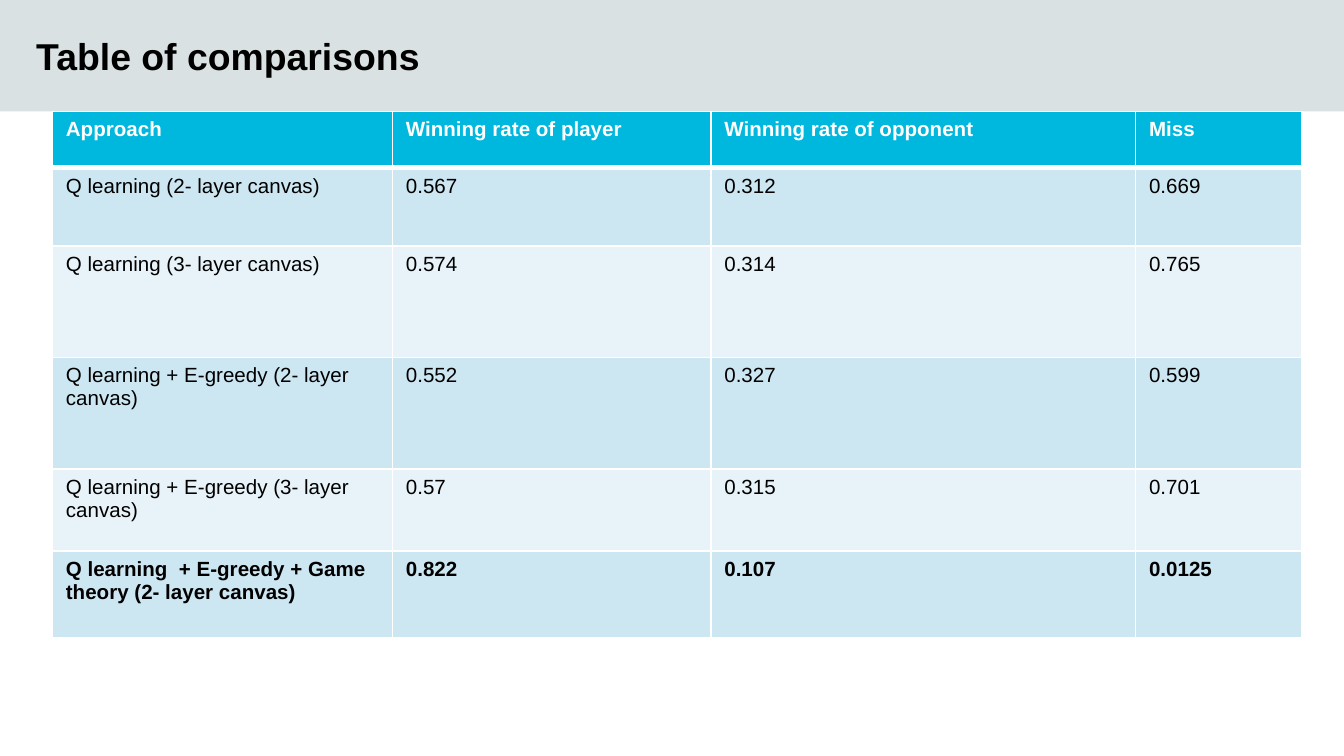
from dataclasses import dataclass

import lxml.etree
import pptx
import pptx.dml.color
import pptx.enum.shapes
import pptx.enum.text
import pptx.oxml.ns
import pptx.util

Inches = pptx.util.Inches
RGB = pptx.dml.color.RGBColor.from_string


@dataclass(frozen=True)
class Theme:
    font: str = "Arial"
    title_size: int = 20
    cell_size: int = 11
    text: str = "000000"
    white: str = "FFFFFF"
    band: str = "D9E1E2"
    header: str = "00B8DE"
    odd_row: str = "CCE6F2"
    even_row: str = "E7F3F9"


theme = Theme()


def style(p, size, color, bold):
    p.font.name = theme.font
    p.font.size = pptx.util.Pt(size)
    p.font.color.rgb = RGB(color)
    p.font.bold = bold


def set_borders(cell, top, bottom):
    """Draw white cell borders; top and bottom are widths in points."""
    tcPr = cell._tc.get_or_add_tcPr()
    widths = {"a:lnL": 1, "a:lnR": 1, "a:lnT": top, "a:lnB": bottom}
    for i, (tag, width) in enumerate(widths.items()):
        ln = lxml.etree.Element(pptx.oxml.ns.qn(tag), w=str(pptx.util.Pt(width)))
        fill = lxml.etree.SubElement(ln, pptx.oxml.ns.qn("a:solidFill"))
        lxml.etree.SubElement(fill, pptx.oxml.ns.qn("a:srgbClr"), val=theme.white)
        tcPr.insert(i, ln)


prs = pptx.Presentation()
prs.slide_width = Inches(10)
prs.slide_height = Inches(10 * 9 / 16)
s = prs.slides.add_slide(prs.slide_layouts[6])

# Title band
band = s.shapes.add_shape(pptx.enum.shapes.MSO_SHAPE.RECTANGLE, 0, 0, Inches(10), Inches(0.83))
band.shadow.inherit = False
band.fill.solid()
band.fill.fore_color.rgb = RGB(theme.band)
band.line.fill.background()

title = s.shapes.add_textbox(Inches(0.27), 0, Inches(7.76), Inches(0.83))
tf = title.text_frame
tf.word_wrap = True
tf.vertical_anchor = pptx.enum.text.MSO_ANCHOR.MIDDLE
tf.margin_left = tf.margin_right = tf.margin_top = tf.margin_bottom = 0
p = tf.paragraphs[0]
p.text = "Table of comparisons"
style(p, theme.title_size, theme.text, True)

# Comparison table
rows = [
    ("Approach", "Winning rate of player", "Winning rate of opponent", "Miss"),
    ("Q learning (2- layer canvas)", "0.567", "0.312", "0.669"),
    ("Q learning (3- layer canvas)", "0.574", "0.314", "0.765"),
    ("Q learning + E-greedy (2- layer canvas)", "0.552", "0.327", "0.599"),
    ("Q learning + E-greedy (3- layer canvas)", "0.57", "0.315", "0.701"),
    ("Q learning  + E-greedy + Game theory (2- layer canvas)", "0.822", "0.107", "0.0125"),
]
col_widths = [2.53, 2.37, 3.16, 1.24]
row_heights = [0.42, 0.58, 0.83, 0.83, 0.61, 0.65]

table = s.shapes.add_table(
    len(rows), len(col_widths), Inches(0.39), Inches(0.83),
    Inches(sum(col_widths)), Inches(sum(row_heights)),
).table
for column, width in zip(table.columns, col_widths):
    column.width = Inches(width)

for i, (values, height) in enumerate(zip(rows, row_heights)):
    table.rows[i].height = Inches(height)
    is_header, is_best = i == 0, i == len(rows) - 1
    fill = theme.header if is_header else theme.odd_row if i % 2 else theme.even_row
    for j, value in enumerate(values):
        cell = table.cell(i, j)
        cell.fill.solid()
        cell.fill.fore_color.rgb = RGB(fill)
        set_borders(cell, top=3 if i == 1 else 1, bottom=3 if is_header else 1)
        p = cell.text_frame.paragraphs[0]
        p.text = value
        style(p, theme.cell_size, theme.white if is_header else theme.text, is_header or is_best)

prs.save("out.pptx")
